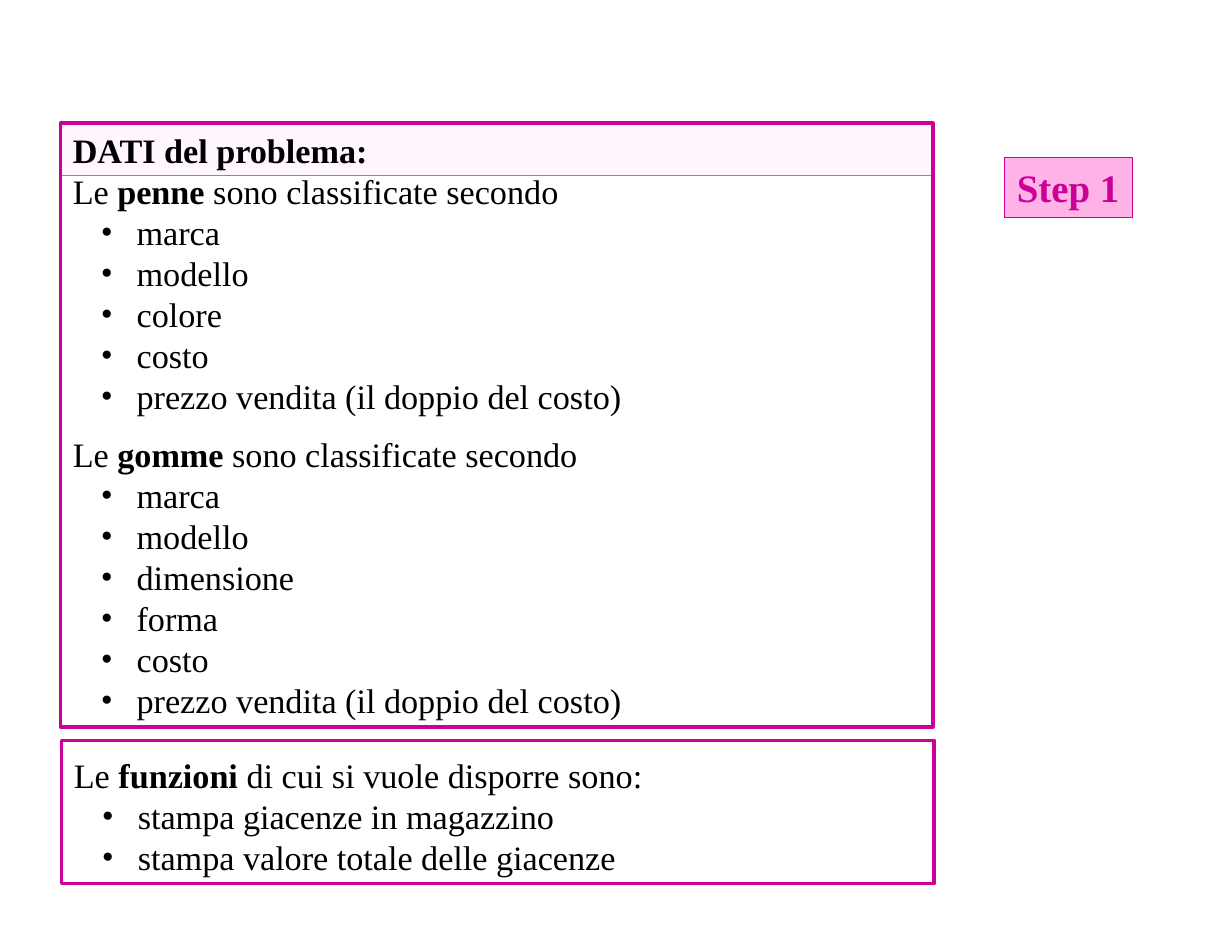
from lxml.etree import SubElement
from pptx import Presentation
from pptx.dml.color import RGBColor
from pptx.enum.shapes import MSO_SHAPE
from pptx.enum.text import MSO_ANCHOR, MSO_AUTO_SIZE, PP_ALIGN
from pptx.oxml.ns import qn
from pptx.util import Inches, Pt

# Content: (kind, text or (before, bold word, after), line factor)
PENS = ["marca", "modello", "colore", "costo", "prezzo vendita (il doppio del costo)"]
ERASERS = ["marca", "modello", "dimensione", "forma", "costo",
           "prezzo vendita (il doppio del costo)"]
FUNCTIONS = ["stampa giacenze in magazzino", "stampa valore totale delle giacenze"]


def section(word, ending, items, factor):
    intro = ("intro", ("Le ", word, ending), factor)
    return [intro] + [("bullet", ("", "", item), 1) for item in items]


CLASSIFIED = " sono classificate secondo"
DATA_LINES = ([("title", ("", "DATI del problema:", ""), 1)]
              + section("penne", CLASSIFIED, PENS, 1)
              + section("gomme", CLASSIFIED, ERASERS, 1.4))
FUNCTION_LINES = section("funzioni", " di cui si vuole disporre sono:", FUNCTIONS, 1.2)
STEP_LINES = [("title", ("", "Step 1", ""), 1)]

# Style and layout in inches and points
COLORS = {"text": "000000", "border": "CC0099", "header": "FFEFFF",
          "header_line": "F450BD", "step": "FF66CC"}
FONT = "Times New Roman"
BODY_SIZE, STEP_SIZE, LINE_RATIO = 22, 25, 1.2
LEFT, TOP, WIDTH = 0.54, 1.1, 7.79
HEADER_HEIGHT, DATA_HEIGHT, GAP, FUNCTION_HEIGHT = 0.47, 5.39, 0.12, 1.28
BULLET_MARGIN, BULLET_HANG = 0.57, 0.32


def add_box(slide, area, border, border_width, fill=None):
    shape = slide.shapes.add_shape(MSO_SHAPE.RECTANGLE, *map(Inches, area))
    shape.shadow.inherit = False
    shape.line.color.rgb = RGBColor.from_string(COLORS[border])
    shape.line.width = Pt(border_width)
    if fill is None:
        shape.fill.background()
    else:
        shape.fill.solid()
        shape.fill.fore_color.rgb = RGBColor.from_string(COLORS[fill])
        color = shape._element.spPr.find(qn("a:solidFill"))[0]
        SubElement(color, qn("a:alpha"), val="50000")
    return shape


def add_bullet(paragraph):
    properties = paragraph._p.get_or_add_pPr()
    properties.set("marL", str(Inches(BULLET_MARGIN)))
    properties.set("indent", str(-Inches(BULLET_HANG)))
    SubElement(properties, qn("a:buFont"), typeface=FONT)
    SubElement(properties, qn("a:buChar"), char="•")


def write_lines(shape, lines, size, color, wrap=True):
    frame = shape.text_frame
    frame.word_wrap = wrap
    frame.auto_size = MSO_AUTO_SIZE.SHAPE_TO_FIT_TEXT
    frame.vertical_anchor = MSO_ANCHOR.TOP
    frame.margin_left = frame.margin_right = Inches(0.11)
    frame.margin_top = frame.margin_bottom = Inches(0.055)
    for index, (kind, parts, factor) in enumerate(lines):
        paragraph = frame.add_paragraph() if index else frame.paragraphs[0]
        paragraph.alignment = PP_ALIGN.LEFT
        paragraph.line_spacing = Pt(size * LINE_RATIO * factor)
        paragraph.font.size = Pt(size)
        paragraph.font.name = FONT
        paragraph.font.color.rgb = RGBColor.from_string(COLORS[color])
        if kind == "bullet":
            paragraph.level = 1
            add_bullet(paragraph)
        for position, text in enumerate(parts):
            if text:
                run = paragraph.add_run()
                run.text = text
                run.font.size = Pt(size)
                run.font.name = FONT
                run.font.color.rgb = RGBColor.from_string(COLORS[color])
                run.font.bold = position == 1 and kind != "bullet"


def main():
    presentation = Presentation()
    presentation.slide_width, presentation.slide_height = Inches(11), Inches(8.5)
    slide = presentation.slides.add_slide(presentation.slide_layouts[6])

    # Problem data with a tinted header band
    add_box(slide, (LEFT, TOP, WIDTH, HEADER_HEIGHT), "header_line", 0.75, "header")
    data_box = add_box(slide, (LEFT, TOP, WIDTH, DATA_HEIGHT), "border", 2.25)
    write_lines(data_box, DATA_LINES, BODY_SIZE, "text")

    # Step label
    step_box = add_box(slide, (8.97, 1.41, 1.14, 0.53), "border", 0.75, "step")
    write_lines(step_box, STEP_LINES, STEP_SIZE, "border", wrap=False)

    # Required functions
    function_top = TOP + DATA_HEIGHT + GAP
    function_box = add_box(slide, (LEFT + 0.01, function_top, WIDTH, FUNCTION_HEIGHT),
                           "border", 2.25)
    write_lines(function_box, FUNCTION_LINES, BODY_SIZE, "text")

    presentation.save("out.pptx")


if __name__ == "__main__":
    main()
